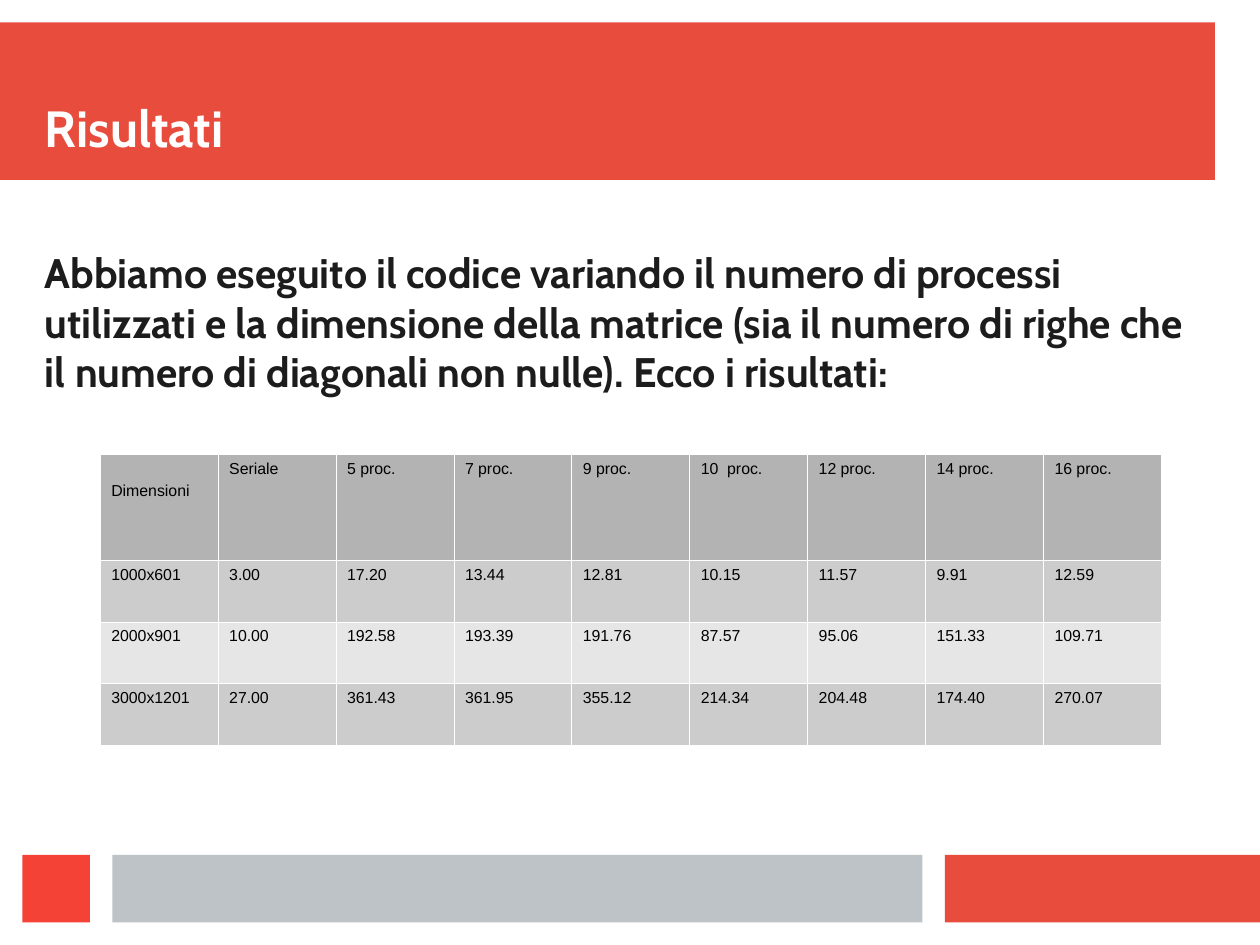
from dataclasses import dataclass

from lxml import etree
from pptx import Presentation
from pptx.dml.color import RGBColor
from pptx.enum.shapes import MSO_SHAPE
from pptx.enum.text import MSO_ANCHOR, MSO_AUTO_SIZE, PP_ALIGN
from pptx.oxml.ns import qn
from pptx.slide import Slide
from pptx.table import _Cell
from pptx.text.text import _Paragraph
from pptx.util import Cm, Pt

RECTANGLE = MSO_SHAPE.RECTANGLE
TOP, BOTTOM = MSO_ANCHOR.TOP, MSO_ANCHOR.BOTTOM
LEFT = PP_ALIGN.LEFT
NO_AUTOFIT = MSO_AUTO_SIZE.NONE

RED, BRIGHT_RED, SILVER = "E74C3C", "F44336", "BDC3C7"
WHITE, INK, BLACK = "FFFFFF", "1C1C1C", "000000"
ROW_FILLS = ["B3B3B3", "CCCCCC", "E6E6E6", "CCCCCC"]

HEADING = "Risultati"
INTRODUCTION = (
    "Abbiamo eseguito il codice variando il numero di processi utilizzati e la "
    "dimensione della matrice (sia il numero di righe che il numero di diagonali "
    "non nulle). Ecco i risultati:"
)
TIMINGS = [
    ["Dimensioni", "Seriale", "5 proc.", "7 proc.", "9 proc.", "10  proc.",
     "12 proc.", "14 proc.", "16 proc."],
    ["1000x601", "3.00", "17.20", "13.44", "12.81", "10.15", "11.57", "9.91", "12.59"],
    ["2000x901", "10.00", "192.58", "193.39", "191.76", "87.57", "95.06", "151.33",
     "109.71"],
    ["3000x1201", "27.00", "361.43", "361.95", "355.12", "214.34", "204.48", "174.40",
     "270.07"],
]
COLUMN_WIDTH, HEADER_HEIGHT, ROW_HEIGHT = 2.62, 2.35, 1.37


@dataclass
class Box:
    """A rectangle measured in centimetres."""
    left: float
    top: float
    width: float
    height: float

    def lengths(self) -> tuple[Cm, Cm, Cm, Cm]:
        return Cm(self.left), Cm(self.top), Cm(self.width), Cm(self.height)


@dataclass
class Band:
    box: Box
    fill: str


@dataclass
class TextStyle:
    font: str
    size: float
    color: str
    bold: bool


BANDS = [
    Band(Box(0, 0.5, 27, 3.5), RED),
    Band(Box(21, 19, 7, 1.5), RED),
    Band(Box(2.5, 19, 18, 1.5), SILVER),
    Band(Box(0.5, 19, 1.5, 1.5), BRIGHT_RED),
]
HEADING_STYLE = TextStyle("Cabin", 32, WHITE, True)
INTRODUCTION_STYLE = TextStyle("Cabin", 26, INK, True)
CELL_STYLE = TextStyle("Arial", 10, BLACK, False)


def rgb(color: str) -> RGBColor:
    return RGBColor.from_string(color)


def style_paragraph(paragraph: _Paragraph, style: TextStyle) -> None:
    paragraph.alignment = LEFT
    font = paragraph.font
    font.name, font.size, font.bold = style.font, Pt(style.size), style.bold
    font.color.rgb = rgb(style.color)


def draw_band(slide: Slide, band: Band) -> None:
    """Draw a filled rectangle behind the placeholders."""
    shape = slide.shapes.add_shape(RECTANGLE, *band.box.lengths())
    shape.shadow.inherit = False
    shape.fill.solid()
    shape.fill.fore_color.rgb = rgb(band.fill)
    shape.line.fill.background()
    slide.shapes.title.element.addprevious(shape.element)


def fill_placeholder(placeholder, box: Box, text: str, style: TextStyle,
                     anchor: MSO_ANCHOR) -> _Paragraph:
    placeholder.left, placeholder.top, placeholder.width, placeholder.height = box.lengths()
    frame = placeholder.text_frame
    frame.margin_left = frame.margin_top = frame.margin_right = frame.margin_bottom = 0
    frame.word_wrap = True
    frame.auto_size = NO_AUTOFIT
    frame.vertical_anchor = anchor
    frame.text = text
    paragraph = frame.paragraphs[0]
    paragraph.space_before = Pt(0)
    properties = paragraph._p.get_or_add_pPr()
    properties.set("marL", "0")
    properties.set("indent", "0")
    etree.SubElement(properties, qn("a:buNone"))
    style_paragraph(paragraph, style)
    return paragraph


def add_borders(cell: _Cell) -> None:
    properties = cell._tc.get_or_add_tcPr()
    for side in ("lnL", "lnR", "lnT", "lnB"):
        line = etree.SubElement(properties, qn(f"a:{side}"), w=str(Pt(0.06)))
        fill = etree.SubElement(line, qn("a:solidFill"))
        etree.SubElement(fill, qn("a:srgbClr"), val=WHITE)


def draw_timings(slide: Slide) -> None:
    row_count, column_count = len(TIMINGS), len(TIMINGS[0])
    box = Box(2.22, 10.1, COLUMN_WIDTH * column_count,
              HEADER_HEIGHT + ROW_HEIGHT * (row_count - 1))
    timings = slide.shapes.add_table(row_count, column_count, *box.lengths()).table
    timings.first_row = timings.horz_banding = False
    for column in timings.columns:
        column.width = Cm(COLUMN_WIDTH)
    for index, (values, fill) in enumerate(zip(TIMINGS, ROW_FILLS)):
        timings.rows[index].height = Cm(ROW_HEIGHT if index else HEADER_HEIGHT)
        for column_index, value in enumerate(values):
            cell = timings.cell(index, column_index)
            cell.text = value
            style_paragraph(cell.text_frame.paragraphs[0], CELL_STYLE)
            add_borders(cell)
            cell.fill.solid()
            cell.fill.fore_color.rgb = rgb(fill)
    timings.cell(0, 0).margin_top = Cm(0.62)


def main() -> None:
    presentation = Presentation()
    presentation.slide_width, presentation.slide_height = Cm(28), Cm(21)
    slide = presentation.slides.add_slide(presentation.slide_layouts[1])
    for band in BANDS:
        draw_band(slide, band)
    fill_placeholder(slide.shapes.title, Box(1, 1, 26, 2.5), HEADING, HEADING_STYLE, BOTTOM)
    introduction = fill_placeholder(slide.placeholders[1], Box(1, 5.5, 25.5, 13),
                                    INTRODUCTION, INTRODUCTION_STYLE, TOP)
    introduction.space_after = Pt(11.4)
    draw_timings(slide)
    presentation.save("out.pptx")


if __name__ == "__main__":
    main()
